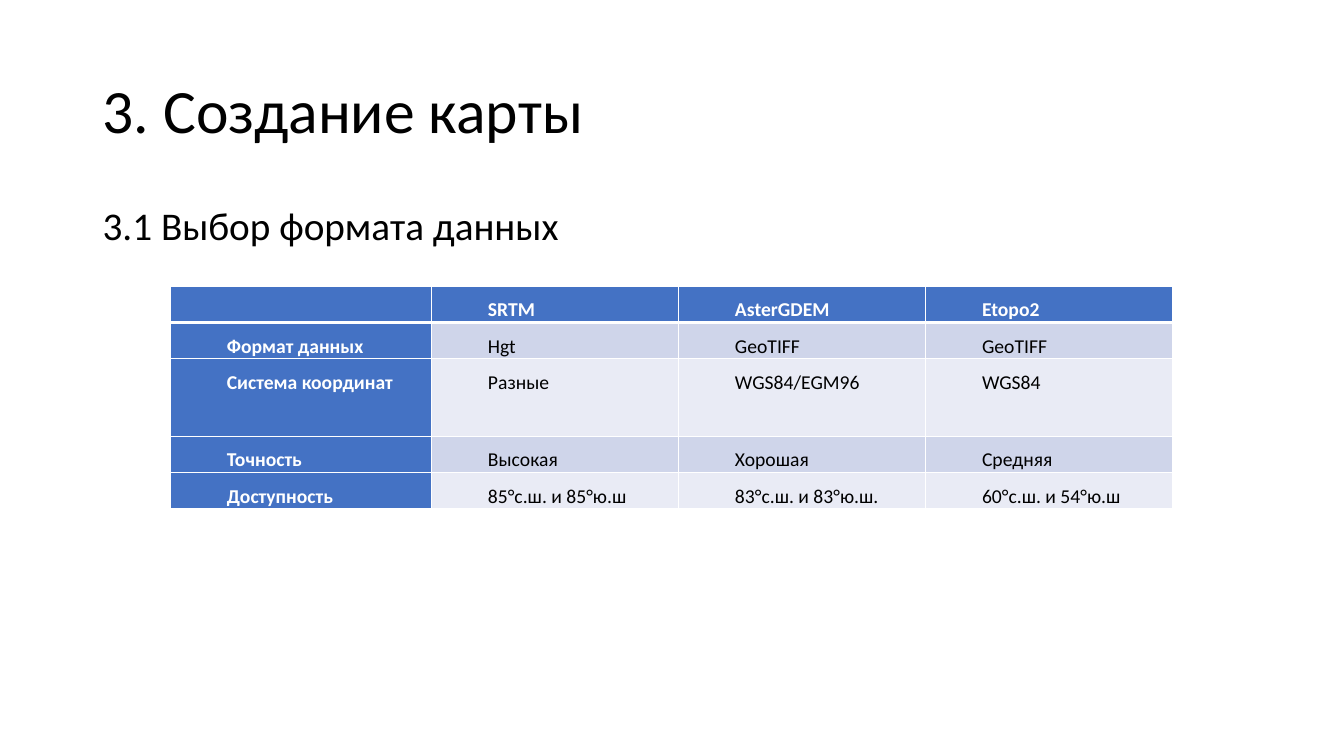
from lxml.etree import SubElement
from pptx import Presentation
from pptx.dml.color import RGBColor
from pptx.enum.text import MSO_ANCHOR, PP_ALIGN
from pptx.oxml.ns import qn
from pptx.util import Inches, Pt

THEME = {
    "font": "Calibri",
    "text": "000000",
    "header_text": "FFFFFF",
    "header_fill": "4472C4",
    "band_fills": ["CFD5EA", "E9EBF5"],
    "border": "FFFFFF",
    "title_size": 44,
    "body_size": 28,
    "table_size": 14,
}


def write_text(paragraph, text, size, color, bold=False):
    run = paragraph.add_run()
    run.text = text
    font_format = {"name": THEME["font"], "size": Pt(size), "bold": bold}
    for name, value in font_format.items():
        setattr(run.font, name, value)
    run.font.color.rgb = RGBColor.from_string(color)


def add_border(cell, side, width):
    line = SubElement(cell._tc.get_or_add_tcPr(), qn(f"a:ln{side}"), w=str(Pt(width)))
    fill = SubElement(line, qn("a:solidFill"))
    SubElement(fill, qn("a:srgbClr"), val=THEME["border"])


presentation = Presentation()
presentation.slide_width = Inches(13.33)
presentation.slide_height = Inches(7.5)
slide = presentation.slides.add_slide(presentation.slide_layouts[6])

# Title and subtitle
headings = [
    ("3. Создание карты", 0.4, 1.45, THEME["title_size"], MSO_ANCHOR.MIDDLE),
    ("3.1 Выбор формата данных", 2, 4.76, THEME["body_size"], MSO_ANCHOR.TOP),
]
for text, top, height, size, anchor in headings:
    shape = slide.shapes.add_textbox(Inches(0.92), Inches(top), Inches(11.5), Inches(height))
    shape.text_frame.word_wrap = True
    shape.text_frame.vertical_anchor = anchor
    paragraph = shape.text_frame.paragraphs[0]
    paragraph.line_spacing = 0.9
    write_text(paragraph, text, size, THEME["text"])

# Table of elevation data sets
rows = [
    ["", "SRTM", "AsterGDEM", "Etopo2"],
    ["Формат данных", "Hgt", "GeoTIFF", "GeoTIFF"],
    ["Система координат", "Разные", "WGS84/EGM96", "WGS84"],
    ["Точность", "Высокая", "Хорошая", "Средняя"],
    ["Доступность", "85°с.ш. и 85°ю.ш", "83°с.ш. и 83°ю.ш.", "60°с.ш. и 54°ю.ш"],
]
column_widths = [2.59, 2.45, 2.45, 2.45]
row_heights = [0.36, 0.36, 0.77, 0.36, 0.36]
table = slide.shapes.add_table(
    len(rows), len(column_widths), Inches(1.69), Inches(2.84),
    Inches(sum(column_widths)), Inches(sum(row_heights)),
).table
table.first_col = True
for column, width in zip(table.columns, column_widths):
    column.width = Inches(width)
for row, height in zip(table.rows, row_heights):
    row.height = Inches(height)

cell_format = {
    "margin_left": Inches(0.07),
    "margin_right": Inches(0.07),
    "margin_top": 0,
    "margin_bottom": 0,
}
for row_index, values in enumerate(rows):
    for column_index, text in enumerate(values):
        cell = table.cell(row_index, column_index)
        is_header = row_index == 0 or column_index == 0
        for name, value in cell_format.items():
            setattr(cell, name, value)

        # The line under the header row is thicker
        for side in "LRTB":
            under_header = (row_index, side) in [(0, "B"), (1, "T")]
            add_border(cell, side, 3 if under_header else 1)
        band_fill = THEME["band_fills"][(row_index - 1) % 2]
        cell.fill.solid()
        cell.fill.fore_color.rgb = RGBColor.from_string(
            THEME["header_fill"] if is_header else band_fill)

        if text:
            paragraph = cell.text_frame.paragraphs[0]
            paragraph.line_spacing = 1.5
            paragraph.alignment = PP_ALIGN.JUSTIFY if row_index == 0 else PP_ALIGN.LEFT
            paragraph._p.get_or_add_pPr().set("indent", str(Inches(0.49)))
            color = THEME["header_text"] if is_header else THEME["text"]
            write_text(paragraph, text, THEME["table_size"], color, is_header)

presentation.save("out.pptx")
